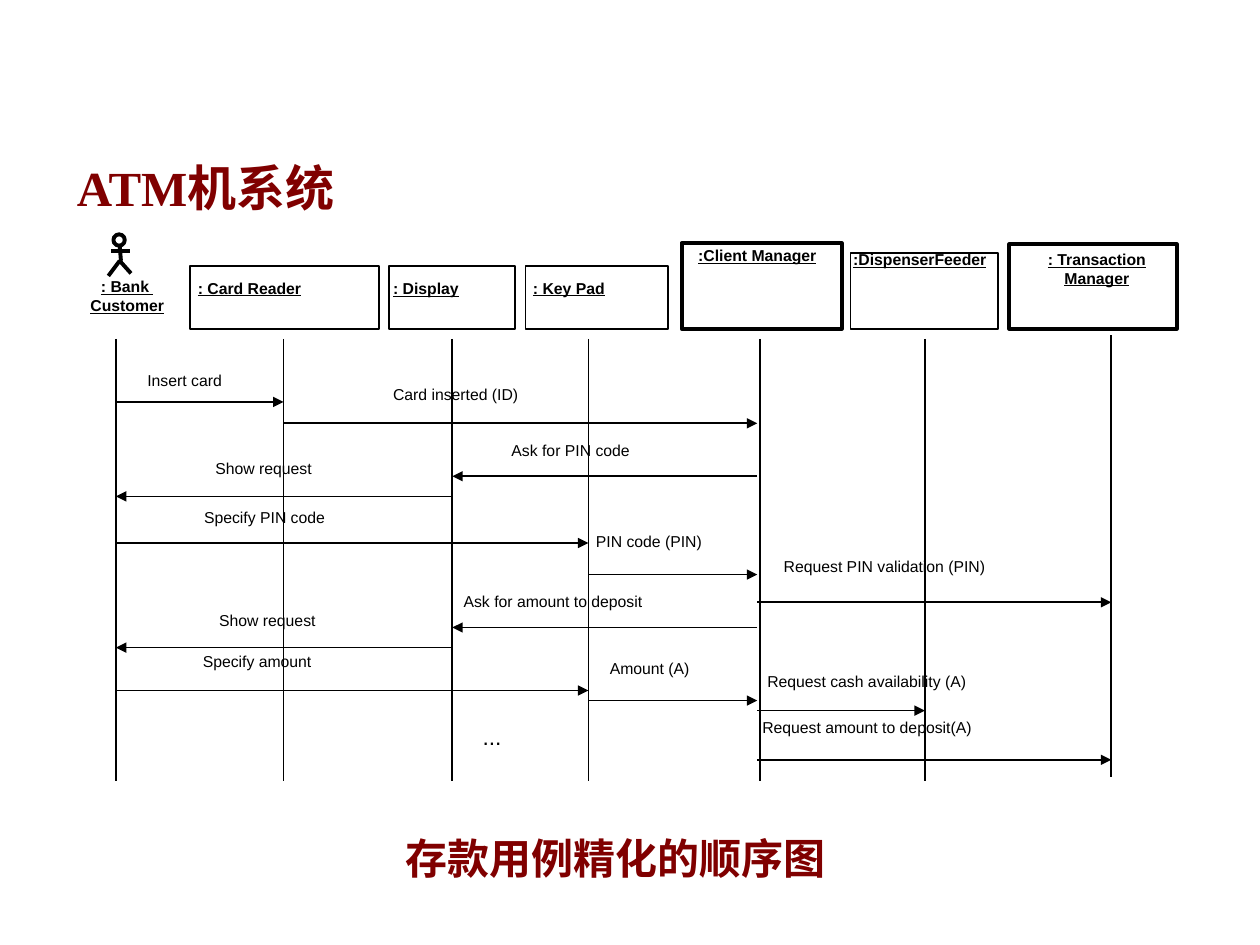
from lxml import etree
from pptx import Presentation
from pptx.dml.color import RGBColor
from pptx.enum.shapes import MSO_CONNECTOR, MSO_SHAPE
from pptx.enum.text import MSO_ANCHOR, MSO_AUTO_SIZE, PP_ALIGN
from pptx.oxml.ns import qn
from pptx.util import Inches, Pt

STRAIGHT = MSO_CONNECTOR.STRAIGHT
RECTANGLE, OVAL = MSO_SHAPE.RECTANGLE, MSO_SHAPE.OVAL
LEFT, CENTER = PP_ALIGN.LEFT, PP_ALIGN.CENTER
BOTTOM, TOP = MSO_ANCHOR.BOTTOM, MSO_ANCHOR.TOP
NO_FIT, GROW = MSO_AUTO_SIZE.NONE, MSO_AUTO_SIZE.SHAPE_TO_FIT_TEXT

THEME = {
    "ink": RGBColor(0, 0, 0),
    "paper": RGBColor(255, 255, 255),
    "accent": RGBColor(0x80, 0, 0),
    "label_font": "Arial",
    "title_font": "Times New Roman",
    "label": 9, "dots": 13, "caption": 24, "title": 28,
    "thin": 1, "thick": 2.25,
}

TITLE = "ATM机系统"
CAPTION = "存款用例精化的顺序图"

LIFELINES = {
    "customer": 0.92, "reader": 2.25, "display": 3.59, "keypad": 4.67,
    "client": 6.03, "dispenser": 7.34, "transaction": 8.82,
}
LIFELINE_TOP, LIFELINE_LENGTH = 2.69, 3.51
TRANSACTION_TOP = 2.66
CLIENT_EDGE = 6.01

OBJECT_BOXES = [
    (1.51, 2.11, 1.5, 0.5, "thin"),
    (3.09, 2.11, 1, 0.5, "thin"),
    (4.17, 2.11, 1.13, 0.5, "thin"),
    (5.41, 1.93, 1.27, 0.68, "thick"),
    (6.75, 2.01, 1.17, 0.6, "thin"),
    (8.01, 1.94, 1.33, 0.67, "thick"),
]
OBJECT_NAMES = [
    (": Bank \nCustomer", 0.43, 2.2, 1.16, 0.67, CENTER),
    (": Card Reader", 1.57, 2.21, 1.73, 0.27, LEFT),
    (": Display", 3.12, 2.21, 1.1, 0.29, LEFT),
    (": Key Pad", 4.23, 2.21, 1.02, 0.37, LEFT),
    (":Client Manager", 5.49, 1.95, 1.04, 0.63, CENTER),
    (":DispenserFeeder", 6.77, 1.98, 1.06, 0.65, CENTER),
    (": Transaction\nManager", 8, 1.98, 1.41, 0.71, CENTER),
]
ACTOR_HEAD = (0.9, 1.86, 0.09, 0.09)
ACTOR_LIMBS = [
    (0.95, 1.95, 0.96, 2.07),
    (0.95, 2.07, 0.86, 2.19),
    (1.04, 2.17, 0.95, 2.07),
    (0.88, 1.99, 1.03, 1.99),
]
MESSAGES = [
    ("Insert card", "customer", "reader", 3.19, 1.17, 2.94, 1.04),
    ("Card inserted (ID)", "reader", "client", 3.36, 3.12, 3.05, 1.77),
    ("Ask for PIN code", "client", "display", 3.78, 4.06, 3.5, 1.63),
    ("Show request", "display", "customer", 3.94, 1.71, 3.64, 1.34),
    ("Specify PIN code", "customer", "keypad", 4.31, 1.62, 4.03, 1.67),
    ("PIN code (PIN)", "keypad", "client", 4.56, 4.73, 4.22, 1.6),
    ("Request PIN validation (PIN)", "client", "transaction", 4.78, 6.22, 4.42, 2.59),
    ("Ask for amount to deposit", "client", "display", 4.98, 3.68, 4.7, 2.36),
    ("Show request", "display", "customer", 5.14, 1.74, 4.85, 1.5),
    ("Specify amount", "customer", "keypad", 5.48, 1.61, 5.17, 1.6),
    ("Amount (A)", "keypad", "client", 5.56, 4.84, 5.23, 1.24),
    ("Request cash availability (A)", "client", "dispenser", 5.64, 6.09, 5.33, 2.63),
    ("Request amount to deposit(A)", "client", "transaction", 6.03, 6.05, 5.7, 2.85),
]
LABEL_HEIGHT = 0.35


def write_text(box, text, size="label", font="label_font", color="ink", bold=False,
               underline=False, align=LEFT, anchor=TOP, inset=(0, 0), wrap=True, fit=NO_FIT):
    frame = box.text_frame
    frame.word_wrap = wrap
    frame.auto_size = fit
    frame.vertical_anchor = anchor
    frame.margin_left = frame.margin_right = Inches(inset[0])
    frame.margin_top = frame.margin_bottom = Inches(inset[1])
    frame.text = text
    for para in frame.paragraphs:
        para.alignment = align
        para.space_before = Pt(0)
        for span in para.runs:
            span.font.name = THEME[font]
            span.font.size = Pt(THEME[size])
            span.font.color.rgb = THEME[color]
            span.font.bold = bold
            span.font.underline = underline


def add_text(page, text, left, top, width, height, **style):
    box = page.shapes.add_textbox(*map(Inches, (left, top, width, height)))
    write_text(box, text, **style)


def add_outline(page, kind, place, weight, filled=False):
    shape = page.shapes.add_shape(kind, *map(Inches, place))
    shape.shadow.inherit = False
    if filled:
        shape.fill.solid()
        shape.fill.fore_color.rgb = THEME["paper"]
    else:
        shape.fill.background()
    shape.line.color.rgb = THEME["ink"]
    shape.line.width = Pt(THEME[weight])


def add_line(page, ends, weight="thin", arrow=False):
    line = page.shapes.add_connector(STRAIGHT, *map(Inches, ends))
    line.line.color.rgb = THEME["ink"]
    line.line.width = Pt(THEME[weight])
    if arrow:
        etree.SubElement(line.line._get_or_add_ln(), qn("a:tailEnd"), type="triangle")
    etree.SubElement(line._element.spPr, qn("a:effectLst"))


def message_end(name):
    return CLIENT_EDGE if name == "client" else LIFELINES[name]


def main():
    deck = Presentation()
    deck.slide_width, deck.slide_height = Inches(10), Inches(7.5)
    page = deck.slides.add_slide(deck.slide_layouts[5])

    heading = page.shapes.title
    heading.left, heading.top, heading.width, heading.height = map(Inches, (0.51, 0.76, 9.08, 1.01))
    heading_style = {"font": "title_font", "color": "accent", "bold": True, "inset": (0.1, 0.05)}
    write_text(heading, TITLE, size="title", anchor=BOTTOM, **heading_style)

    for *place, weight in OBJECT_BOXES:
        add_outline(page, RECTANGLE, place, weight)
    for text, *place, align in OBJECT_NAMES:
        add_text(page, text, *place, align=align, bold=True, underline=True)

    add_outline(page, OVAL, ACTOR_HEAD, "thick", filled=True)
    for ends in ACTOR_LIMBS:
        add_line(page, ends, weight="thick")

    for name, x in LIFELINES.items():
        top = TRANSACTION_TOP if name == "transaction" else LIFELINE_TOP
        add_line(page, (x, top, x, top + LIFELINE_LENGTH))

    for text, sender, receiver, y, left, top, width in MESSAGES:
        add_line(page, (message_end(sender), y, message_end(receiver), y), arrow=True)
        add_text(page, text, left, top, width, LABEL_HEIGHT)

    add_text(page, "...", 3.83, 5.74, 1.04, 0.66, size="dots")
    add_text(page, CAPTION, 3.12, 6.56, 3.53, 0.5, size="caption", wrap=False, fit=GROW,
             **heading_style)
    deck.save("out.pptx")


if __name__ == "__main__":
    main()
